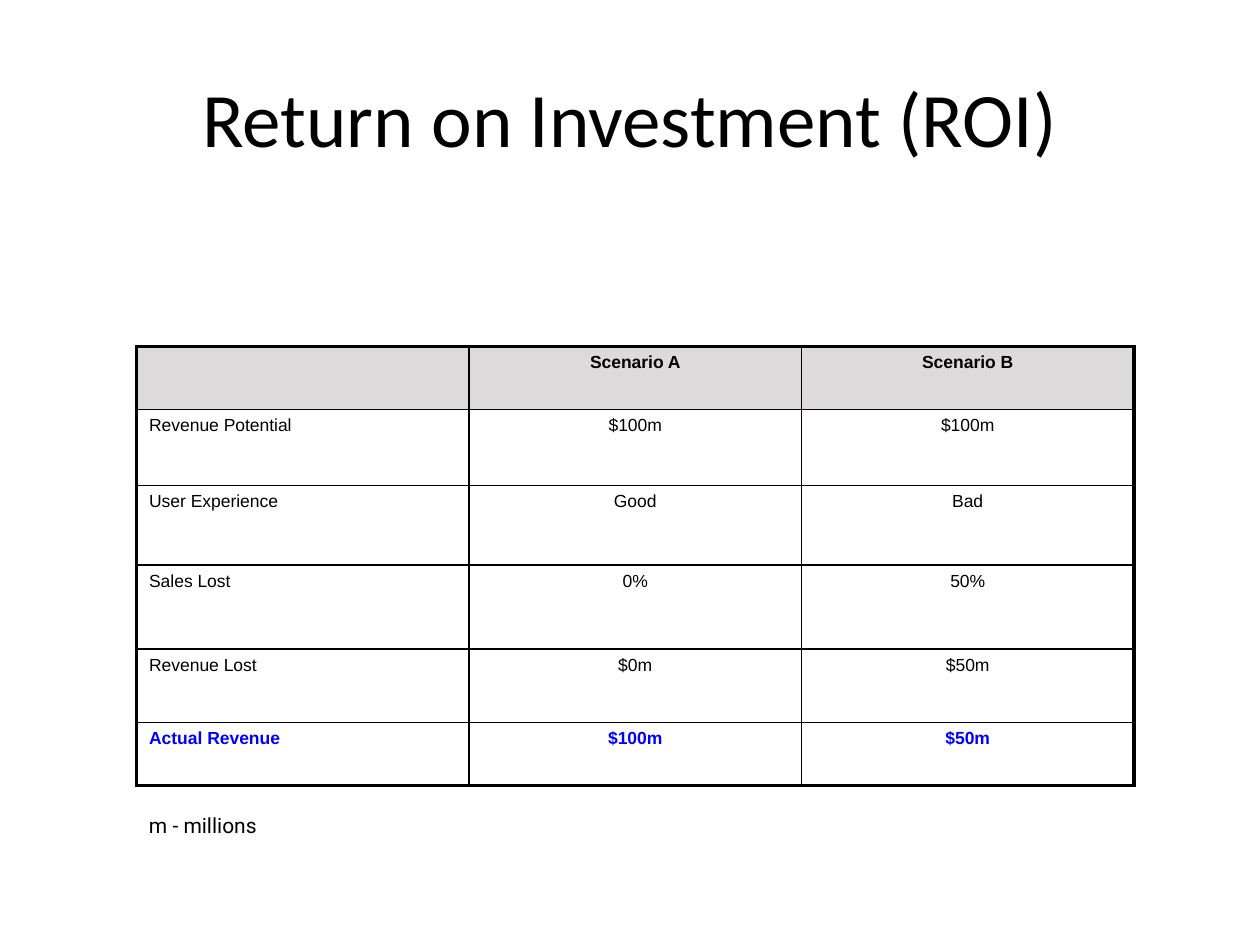
from lxml.etree import SubElement
from pptx import Presentation
from pptx.dml.color import RGBColor
from pptx.enum.text import MSO_ANCHOR, PP_ALIGN
from pptx.oxml.ns import qn
from pptx.util import Pt

THEME = {
    "line": "000000",
    "header_fill": "DCDADA",
    "title": {"name": "Calibri", "size": Pt(44), "color": "000000"},
    "cell": {"name": "Arial", "size": Pt(10), "color": "000000", "bold": False},
    "header": {"name": "Arial", "size": Pt(10), "color": "000000", "bold": True},
    "total": {"name": "Arial", "size": Pt(10), "color": "0000FF", "bold": True},
    "note": {"name": "Roboto", "size": Pt(12), "color": "000000"},
}
OUTER_LINE, INNER_LINE = Pt(2.25), Pt(1)


def write(text_frame, text, style, alignment):
    paragraph = text_frame.paragraphs[0]
    paragraph.alignment = alignment
    run = paragraph.add_run()
    run.text = text
    for name, value in style.items():
        if name == "color":
            run.font.color.rgb = RGBColor.from_string(value)
        else:
            setattr(run.font, name, value)


def add_border(cell, side, width):
    line = SubElement(cell._tc.get_or_add_tcPr(), qn(f"a:{side}"), w=str(width))
    fill = SubElement(line, qn("a:solidFill"))
    SubElement(fill, qn("a:srgbClr"), val=THEME["line"])


presentation = Presentation()
presentation.slide_width, presentation.slide_height = Pt(720), Pt(540)
slide = presentation.slides.add_slide(presentation.slide_layouts[5])

# Title
title = slide.shapes.title
title.left, title.top, title.width, title.height = Pt(36), Pt(21.6), Pt(648), Pt(90)
title.text_frame.vertical_anchor = MSO_ANCHOR.MIDDLE
write(title.text_frame, "Return on Investment (ROI)", THEME["title"], PP_ALIGN.CENTER)

# Scenario table
rows = [
    ("", "Scenario A", "Scenario B"),
    ("Revenue Potential", "$100m", "$100m"),
    ("User Experience", "Good", "Bad"),
    ("Sales Lost", "0%", "50%"),
    ("Revenue Lost", "$0m", "$50m"),
    ("Actual Revenue", "$100m", "$50m"),
]
row_heights = [36, 43.4, 45.5, 48, 42, 36]
last_row, last_column = len(rows) - 1, len(rows[0]) - 1
table = slide.shapes.add_table(
    len(rows), len(rows[0]), Pt(78), Pt(198), Pt(570), Pt(sum(row_heights))
).table

for row_index, values in enumerate(rows):
    table.rows[row_index].height = Pt(row_heights[row_index])
    style = {0: THEME["header"], last_row: THEME["total"]}.get(row_index, THEME["cell"])
    for column_index, value in enumerate(values):
        cell = table.cell(row_index, column_index)
        alignment = PP_ALIGN.CENTER if column_index else PP_ALIGN.LEFT
        write(cell.text_frame, value, style, alignment)
        # Borders come before the fill in the cell properties
        outer_sides = {
            "lnL": column_index == 0,
            "lnR": column_index == last_column,
            "lnT": row_index == 0,
            "lnB": row_index == last_row,
        }
        for side, is_outer in outer_sides.items():
            add_border(cell, side, OUTER_LINE if is_outer else INNER_LINE)
        if row_index == 0:
            cell.fill.solid()
            cell.fill.fore_color.rgb = RGBColor.from_string(THEME["header_fill"])
        else:
            cell.fill.background()

# Unit note
note = slide.shapes.add_textbox(Pt(78), Pt(461), Pt(76), Pt(21.6))
note.text_frame.word_wrap = False
write(note.text_frame, "m - millions", THEME["note"], PP_ALIGN.LEFT)

presentation.save("out.pptx")
